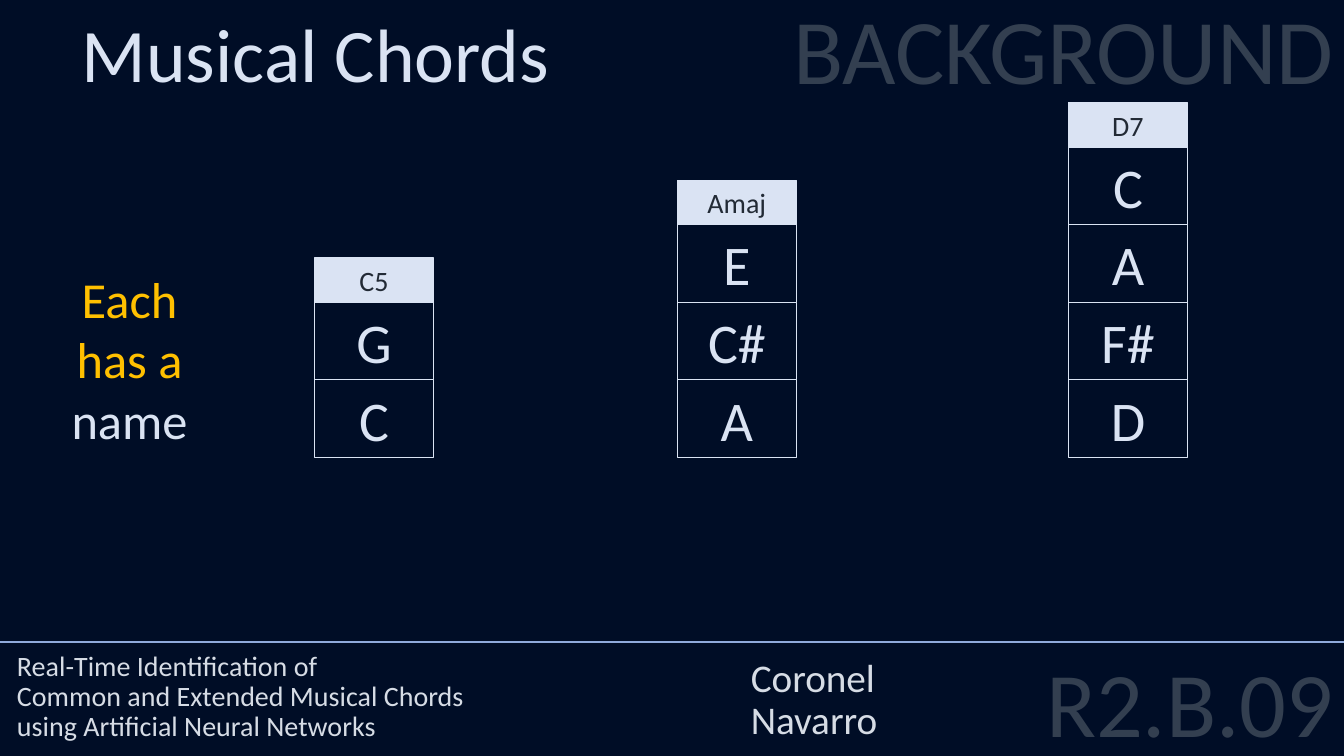
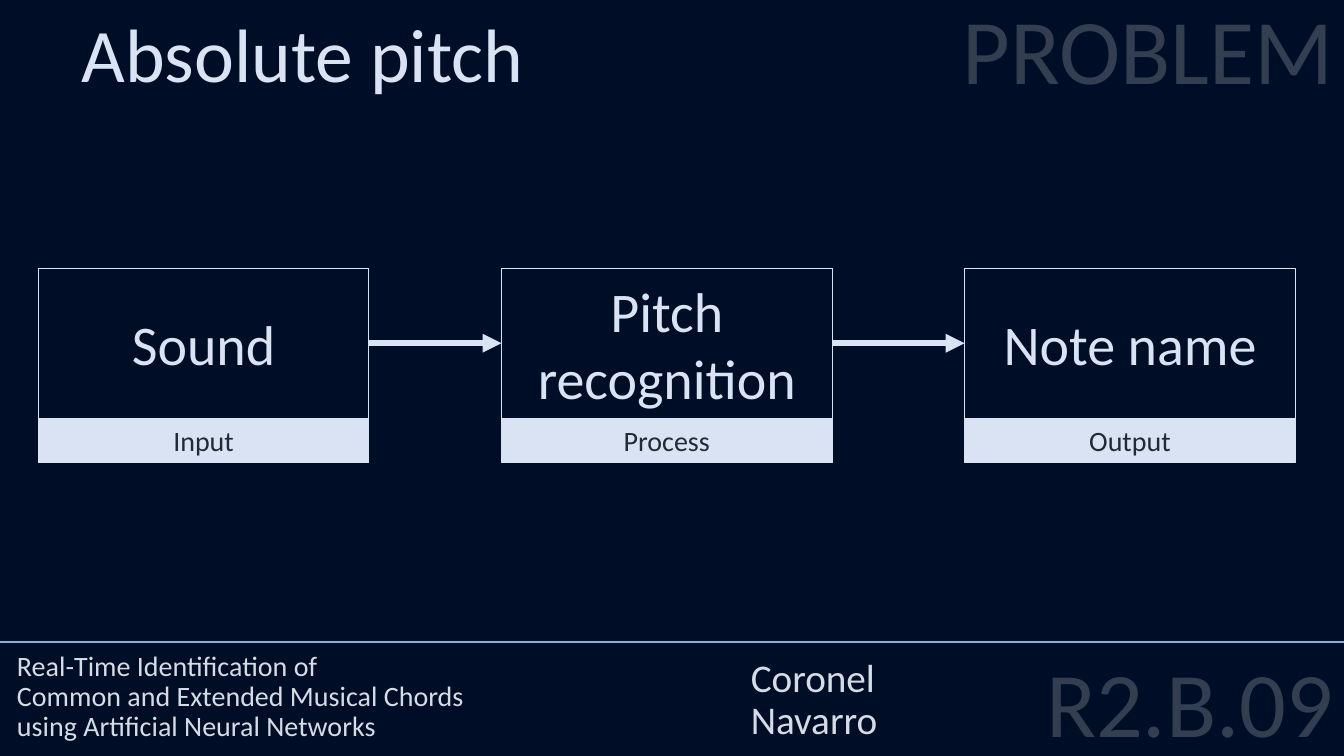
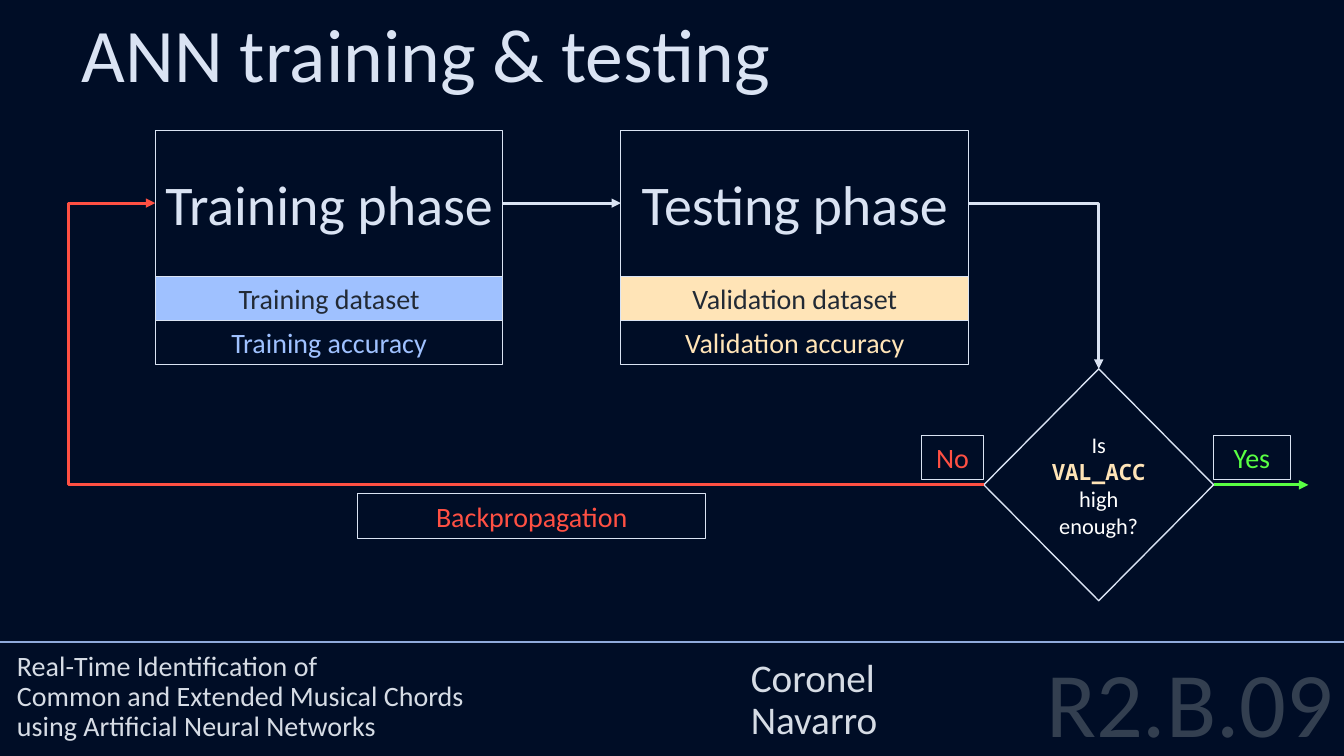
from dataclasses import dataclass

from lxml import etree
from pptx import Presentation
from pptx.dml.color import RGBColor
from pptx.enum.shapes import MSO_CONNECTOR, MSO_SHAPE
from pptx.enum.text import MSO_ANCHOR, MSO_AUTO_SIZE, PP_ALIGN
from pptx.oxml.ns import qn
from pptx.util import Inches, Pt

RECTANGLE, DIAMOND = MSO_SHAPE.RECTANGLE, MSO_SHAPE.DIAMOND
STRAIGHT, ELBOW = MSO_CONNECTOR.STRAIGHT, MSO_CONNECTOR.ELBOW
TOP, MIDDLE, BOTTOM = MSO_ANCHOR.TOP, MSO_ANCHOR.MIDDLE, MSO_ANCHOR.BOTTOM
LEFT, CENTER, RIGHT = PP_ALIGN.LEFT, PP_ALIGN.CENTER, PP_ALIGN.RIGHT
NO_AUTOFIT = MSO_AUTO_SIZE.NONE
TOP_SITE, LEFT_SITE, RIGHT_SITE = 0, 1, 3
COLUMNS, ROWS = 133.33, 75
CELL = Inches(0.1)


@dataclass(frozen=True)
class Theme:
    background: str = "000D26"
    light: str = "DAE3F3"
    ink: str = "222A35"
    muted: str = "333F50"
    footer: str = "D6DCE5"
    rule: str = "8FAADC"
    white: str = "FFFFFF"
    gold: str = "FFC000"
    training: str = "9FC1FF"
    validation: str = "FFE4B7"
    reject: str = "FF5043"
    accept: str = "59FF43"
    sans: str = "Calibri"
    mono: str = "Noto Sans Mono"
    banner_size: int = 66
    title_size: int = 54
    heading_size: int = 40
    lead_size: int = 36
    author_size: int = 28
    label_size: int = 20
    small_size: int = 16


THEME = Theme()
LABEL_ROWS = 4.4


def cells(*lengths):
    return [round(length * CELL) for length in lengths]


class SlideBuilder:
    def __init__(self, deck, theme):
        self.deck = deck
        self.theme = theme
        self.slide = None
        deck.slide_width, deck.slide_height = cells(COLUMNS, ROWS)
        fill = deck.slide_master.background.fill
        fill.solid()
        fill.fore_color.rgb = RGBColor.from_string(theme.background)

    def start(self, title, banner=None):
        theme = self.theme
        self.slide = self.deck.slides.add_slide(self.deck.slide_layouts[5])
        holder = self.slide.shapes.title
        holder.left, holder.top, holder.width, holder.height = cells(7.1, 0.2, 83.5, 10.1)
        self.set_text(holder, [title], theme.title_size, theme.light, anchor=TOP)
        self.line((0, 63.7), (COLUMNS, 63.7), theme.rule, 1.5)
        self.text((84.6, 65.6, 48.7, 9.4), ["R2.B.09"], theme.banner_size, theme.muted,
                  align=RIGHT, line_spacing=0.8, space_before=Pt(10))
        self.text((73.5, 44.3, 51, 29.9), ["Coronel", "Navarro"], theme.author_size,
                  theme.footer, anchor=BOTTOM, line_spacing=0.9)
        self.text((0.7, 44.3, 72.8, 29.9),
                  ["Real-Time Identification of", "Common and Extended Musical Chords",
                   "using Artificial Neural Networks"],
                  theme.label_size, theme.footer, anchor=BOTTOM, line_spacing=0.9)
        if banner:
            self.text((22.2, 0, 111.1, 35.8), [banner], theme.banner_size, theme.muted,
                      align=RIGHT, line_spacing=0.9, space_before=Pt(10))

    def set_text(self, shape, lines, size, color, anchor=TOP, align=LEFT, **spacing):
        frame = shape.text_frame
        frame_format = {"word_wrap": True, "auto_size": NO_AUTOFIT, "vertical_anchor": anchor}
        for name, value in frame_format.items():
            setattr(frame, name, value)
        for index, line in enumerate(lines):
            para = frame.paragraphs[0] if index == 0 else frame.add_paragraph()
            for name, value in {"alignment": align, **spacing}.items():
                setattr(para, name, value)
            words, changes = line if isinstance(line, tuple) else (line, {})
            span = para.add_run()
            span.text = words
            font_format = {"name": self.theme.sans, "size": Pt(size), "bold": False,
                           "color": color, **changes}
            span.font.color.rgb = RGBColor.from_string(font_format.pop("color"))
            for name, value in font_format.items():
                setattr(span.font, name, value)

    def text(self, area, lines, size, color, **layout):
        box = self.slide.shapes.add_textbox(*cells(*area))
        self.set_text(box, lines, size, color, **layout)

    def box(self, area, lines, size, color, fill=None, preset=RECTANGLE, outline=0.75):
        box = self.slide.shapes.add_shape(preset, *cells(*area))
        box.shadow.inherit = False
        if fill:
            box.fill.solid()
            box.fill.fore_color.rgb = RGBColor.from_string(fill)
        else:
            box.fill.background()
        box.line.color.rgb = RGBColor.from_string(self.theme.light)
        box.line.width = Pt(outline)
        self.set_text(box, lines, size, color, anchor=MIDDLE, align=CENTER)
        return box

    def heading(self, area, words):
        return self.box(area, [words], self.theme.heading_size, self.theme.light)

    def label(self, left, top, width, words, color=THEME.ink, fill=None):
        return self.box((left, top, width, LABEL_ROWS), [words], self.theme.label_size,
                        color, fill)

    def line(self, begin, end, color, width, kind=STRAIGHT, arrow=False):
        line = self.slide.shapes.add_connector(kind, *cells(*begin, *end))
        line.line.color.rgb = RGBColor.from_string(color)
        line.line.width = Pt(width)
        properties = line._element.spPr
        if arrow:
            etree.SubElement(properties.find(qn("a:ln")), qn("a:tailEnd"), type="triangle")
        etree.SubElement(properties, qn("a:effectLst"))
        return line

    def link(self, source, target, color, width, sites=(RIGHT_SITE, LEFT_SITE),
             kind=STRAIGHT, preset=None, bend=None):
        link = self.line((0, 0), (0, 0), color, width, kind, arrow=True)
        link.begin_connect(source, sites[0])
        link.end_connect(target, sites[1])
        geometry = link._element.spPr.find(qn("a:prstGeom"))
        if preset:
            geometry.set("prst", preset)
        if bend:
            guides = geometry.find(qn("a:avLst"))
            etree.SubElement(guides, qn("a:gd"), name="adj1", fmla=f"val {bend}")


def build_chords(page):
    theme = page.theme
    page.start("Musical Chords", "BACKGROUND")
    page.text((0, 26.1, 25.7, 19.2), ["Each", "has a", ("name", {"color": theme.light})],
              theme.lead_size, theme.gold, align=CENTER)
    floor, note_rows, width = 45.4, 7.7, 11.8
    chords = [(31.2, "C5", ["C", "G"]), (67.2, "Amaj", ["A", "C#", "E"]),
              (106, "D7", ["D", "F#", "A", "C"])]
    for left, name, notes in chords:
        top = floor
        for note in notes:
            top -= note_rows
            page.heading((left, top, width, note_rows), note)
        page.label(left, top - LABEL_ROWS, width, name, fill=theme.light)


def build_pitch(page):
    theme = page.theme
    page.start("Absolute pitch", "PROBLEM")
    top, width, height, pitch = 26.6, 32.8, 14.9, 45.95
    stages = [("Sound", "Input"), ("Pitch recognition", "Process"), ("Note name", "Output")]
    boxes = []
    for index, (words, role) in enumerate(stages):
        left = 3.8 + index * pitch
        boxes.append(page.heading((left, top, width, height), words))
        page.label(left, top + height, width, role, fill=theme.light)
    for source, target in zip(boxes, boxes[1:]):
        page.link(source, target, theme.light, 4.5)


def build_training(page):
    theme = page.theme
    page.start("ANN training & testing")
    top, width, height = 12.9, 34.5, 14.5
    phases = [(15.4, "Training", "Training", theme.training),
              (61.6, "Testing", "Validation", theme.validation)]
    boxes = []
    for left, phase, data, color in phases:
        boxes.append(page.heading((left, top, width, height), f"{phase} phase"))
        page.label(left, top + height, width, f"{data} dataset", fill=color)
        page.label(left, top + height + LABEL_ROWS, width, f"{data} accuracy", color)
    training, testing = boxes
    variable = {"name": theme.mono, "color": theme.validation, "bold": True}
    decision = page.box((97.6, 36.6, 22.8, 23), ["Is", ("VAL_ACC", variable), "high enough?"],
                        theme.small_size, theme.white, preset=DIAMOND, outline=1)
    decision.text_frame.margin_left = decision.text_frame.margin_right = Inches(0.05)
    page.link(training, testing, theme.light, 2.25)
    page.link(testing, decision, theme.light, 2.25, (RIGHT_SITE, TOP_SITE), ELBOW,
              preset="bentConnector2")
    page.link(decision, training, theme.reject, 2.25, (LEFT_SITE, LEFT_SITE), ELBOW,
              bend=110500)
    page.line((120.4, 48.1), (129.8, 48.1), theme.accept, 2.25, arrow=True)
    page.label(35.5, 49, width, "Backpropagation", theme.reject)
    page.label(91.4, 43.2, 6.2, "No", theme.reject)
    page.label(120.4, 43.2, 7.6, "Yes", theme.accept)


def main():
    deck = Presentation()
    page = SlideBuilder(deck, THEME)
    for build in (build_chords, build_pitch, build_training):
        build(page)
    deck.save("out.pptx")


if __name__ == "__main__":
    main()
